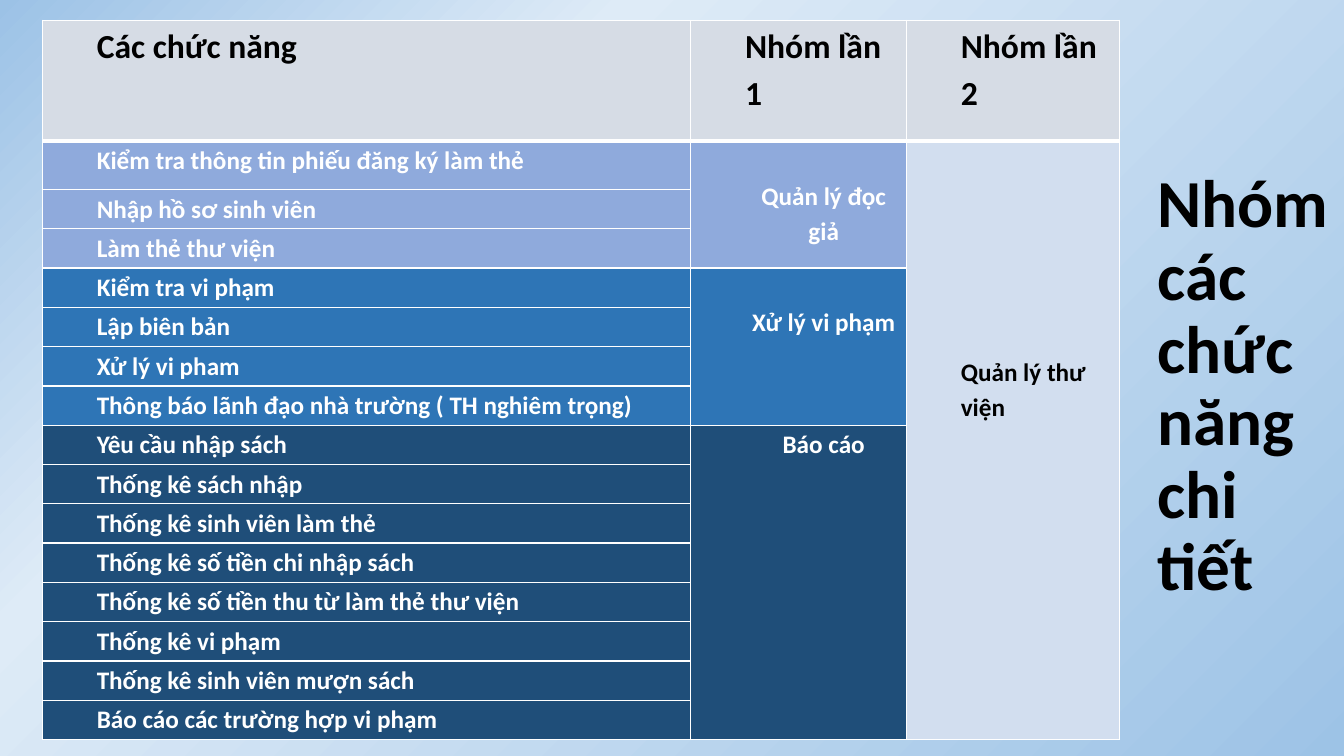
from dataclasses import dataclass

from lxml.etree import SubElement
from pptx import Presentation
from pptx.dml.color import RGBColor
from pptx.enum.text import MSO_ANCHOR as Anchor, MSO_AUTO_SIZE as AutoSize, PP_ALIGN as Align
from pptx.oxml import parse_xml
from pptx.oxml.ns import nsdecls, qn
from pptx.util import Inches, Pt


@dataclass(frozen=True)
class Theme:
    font: str = "Calibri"
    black: str = "000000"
    white: str = "FFFFFF"
    header: str = "D6DCE5"
    readers: str = "8FAADC"
    violations: str = "2E75B6"
    reports: str = "1F4E79"
    library: str = "D2DEEF"
    backdrop: tuple = ((0, "9CC2E6"), (30, "DEEBF7"), (100, "9DC3E6"))
    title_size: int = 48
    header_size: int = 24
    body_size: int = 18


theme = Theme()


def write(frame, text, size=theme.body_size, color=theme.white, align=Align.LEFT,
          spacing=1.15, indent=0.5, after=0):
    frame.word_wrap = True
    paragraph = frame.paragraphs[0]
    paragraph.alignment = align
    paragraph.line_spacing = spacing
    paragraph.space_before = Pt(0)
    paragraph.space_after = Pt(after)
    properties = paragraph._p.get_or_add_pPr()
    properties.set("marL", str(Inches(indent)))
    properties.set("indent", "0")
    run = paragraph.add_run()
    run.text = text
    run.font.name = theme.font
    run.font.size = Pt(size)
    run.font.bold = True
    run.font.color.rgb = RGBColor.from_string(color)


def paint(cell, color, top=1, bottom=1):
    cell.margin_left = cell.margin_right = Inches(0.04)
    cell.margin_top = cell.margin_bottom = Inches(0)
    properties = cell._tc.get_or_add_tcPr()
    for side, width in (("lnL", 1), ("lnR", 1), ("lnT", top), ("lnB", bottom)):
        line = SubElement(properties, qn(f"a:{side}"), w=str(Pt(width)))
        SubElement(SubElement(line, qn("a:solidFill")), qn("a:srgbClr"), val=theme.white)
    cell.fill.solid()
    cell.fill.fore_color.rgb = RGBColor.from_string(color)


headers = ["Các chức năng", "Nhóm lần 1", "Nhóm lần 2"]
groups = [
    ("Quản lý đọc giả", theme.readers, 1, [
        "Kiểm tra thông tin phiếu đăng ký làm thẻ",
        "Nhập hồ sơ sinh viên",
        "Làm thẻ thư viện",
    ]),
    ("Xử lý vi phạm", theme.violations, 1, [
        "Kiểm tra vi phạm",
        "Lập biên bản",
        "Xử lý vi pham",
        "Thông báo lãnh đạo nhà trường ( TH nghiêm trọng)",
    ]),
    ("Báo cáo", theme.reports, 0, [
        "Yêu cầu nhập sách",
        "Thống kê sách nhập",
        "Thống kê sinh viên làm thẻ",
        "Thống kê số tiền chi nhập sách",
        "Thống kê số tiền thu từ làm thẻ thư viện",
        "Thống kê vi phạm",
        "Thống kê sinh viên mượn sách",
        "Báo cáo các trường hợp vi phạm",
    ]),
]
column_widths = [6.43, 2.14, 2.11]
row_heights = [1.2, 0.48] + [0.39] * 14
line_height = 0.35

deck = Presentation()
deck.slide_width = Inches(13.33)
deck.slide_height = Inches(7.5)
slide = deck.slides.add_slide(deck.slide_layouts[5])

backdrop = slide.background.fill
backdrop.gradient()
backdrop.gradient_angle = 315
stops = slide._element.find(".//" + qn("a:gsLst"))
for stop in list(stops):
    stops.remove(stop)
for position, color in theme.backdrop:
    stops.append(parse_xml(
        f'<a:gs {nsdecls("a")} pos="{position * 1000}"><a:srgbClr val="{color}"/></a:gs>'))

title = slide.shapes.title
title.left, title.top = Inches(11.38), Inches(0.5)
title.width, title.height = Inches(1.95), Inches(6.69)
title.text_frame.auto_size = AutoSize.NONE
title.text_frame.vertical_anchor = Anchor.MIDDLE
write(title.text_frame, "Nhóm các chức năng chi tiết", size=theme.title_size,
      color=theme.black, spacing=0.9, indent=0)

functions = slide.shapes.add_table(
    len(row_heights), len(column_widths), Inches(0.42), Inches(0.2),
    Inches(sum(column_widths)), Inches(sum(row_heights))).table
functions.first_row = False
functions.horz_banding = False
for column, width in zip(functions.columns, column_widths):
    column.width = Inches(width)
for row, height in zip(functions.rows, row_heights):
    row.height = Inches(height)

for column, heading in enumerate(headers):
    cell = functions.cell(0, column)
    paint(cell, theme.header, bottom=3)
    write(cell.text_frame, heading, size=theme.header_size, color=theme.black)

row = 1
for group, color, lines_above, names in groups:
    first = row
    for name in names:
        for column, fill in enumerate((color, color, theme.library)):
            paint(functions.cell(row, column), fill, top=3 if row == 1 else 1)
        write(functions.cell(row, 0).text_frame, name)
        row += 1
    group_cell = functions.cell(first, 1)
    group_cell.merge(functions.cell(row - 1, 1))
    group_cell.margin_top = Inches(lines_above * line_height)
    write(group_cell.text_frame, group, align=Align.CENTER)

library = functions.cell(1, 2)
library.merge(functions.cell(row - 1, 2))
library.margin_top = Inches(6 * line_height)
write(library.text_frame, "Quản lý thư viện", color=theme.black, after=10)

deck.save("out.pptx")
